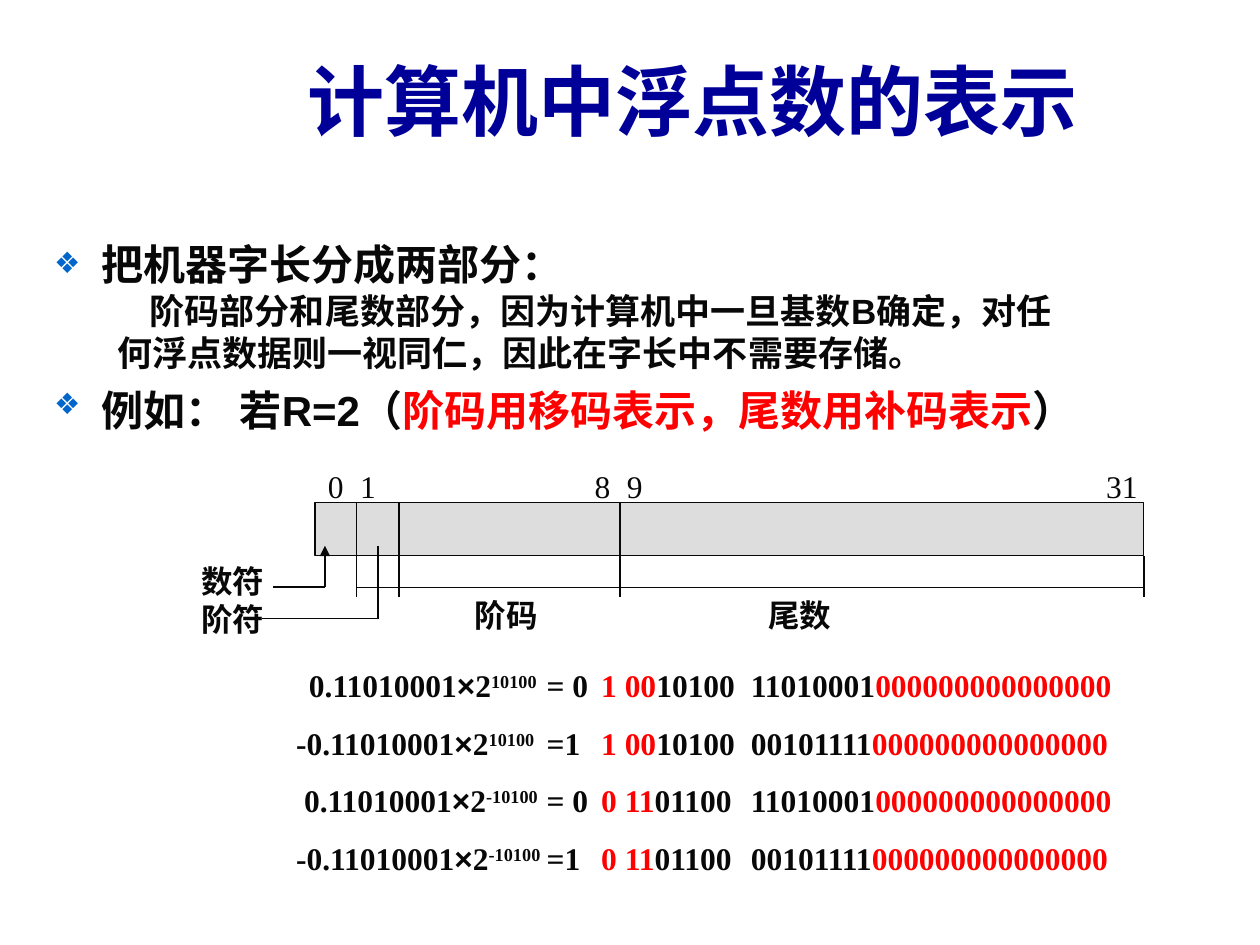
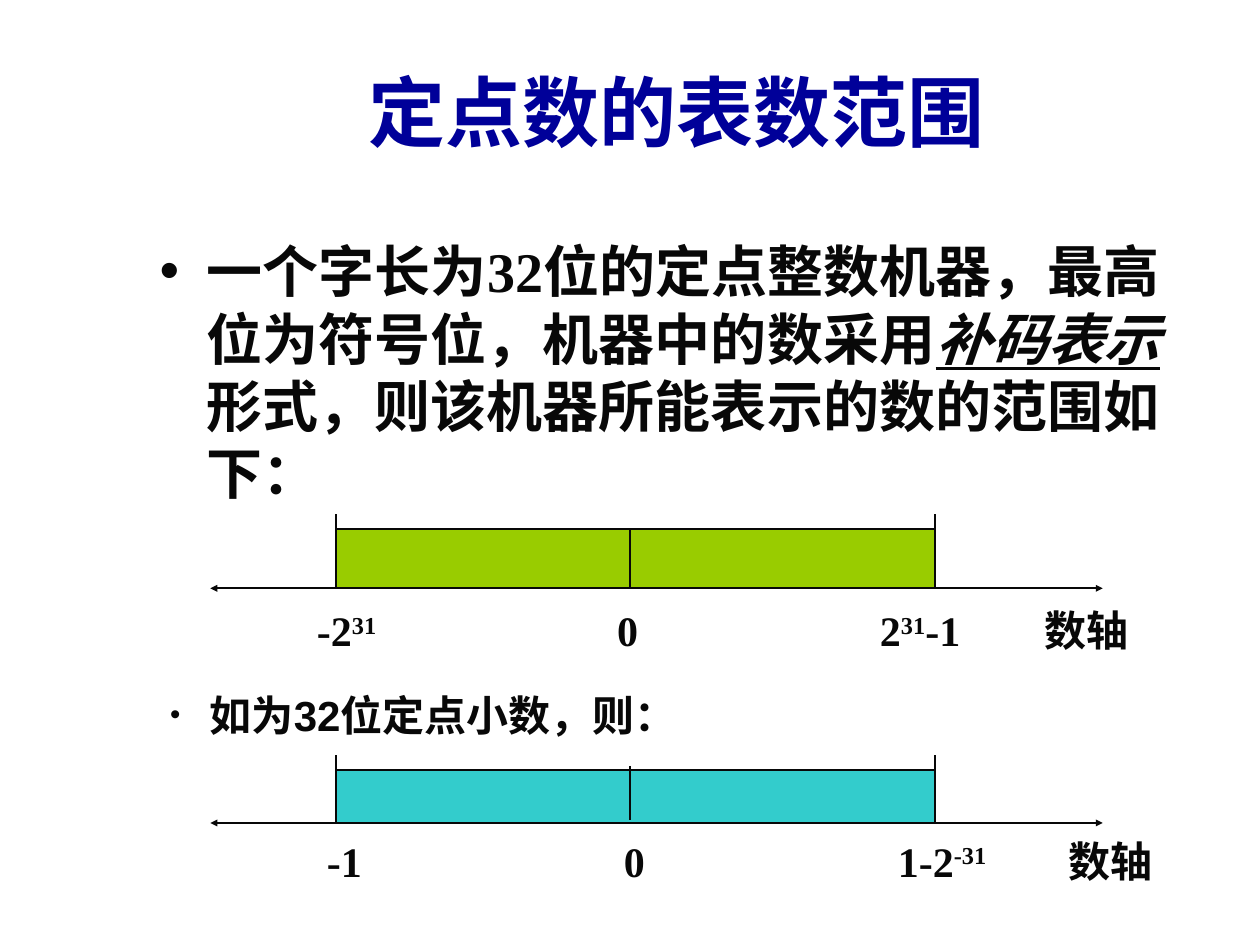
from pptx import Presentation
from pptx.dml.color import RGBColor
from pptx.enum.shapes import MSO_CONNECTOR as Connector, MSO_SHAPE as Shape
from pptx.enum.text import MSO_ANCHOR as Anchor, PP_ALIGN as Align
from pptx.oxml.ns import qn
from pptx.util import Cm, Pt
from lxml.etree import SubElement

COLORS = {
    "ink": "080808", "title": "000099", "red": "FF0000", "bullet": "0066CC",
    "register": "DDDDDD", "integer": "99CC00", "fraction": "33CCCC",
}
SERIF, SANS = "Times New Roman", "Arial"


def add_run(paragraph, text, size=18, font=SERIF, color="ink", bold=True,
            italic=False, underline=False, raised=False):
    run = paragraph.add_run()
    run.text = text
    run.font.size, run.font.name = Pt(size), font
    run.font.bold, run.font.italic, run.font.underline = bold, italic, underline
    run.font.color.rgb = RGBColor.from_string(COLORS[color])
    if raised:
        run.font._element.set("baseline", "30000")


class Deck:
    def __init__(self):
        self.presentation = Presentation()
        self.presentation.slide_width = Cm(25.4)
        self.presentation.slide_height = Cm(19.05)
        self.slide = None

    def new_slide(self, title, left, top, width):
        layout = self.presentation.slide_layouts[6]
        self.slide = self.presentation.slides.add_slide(layout)
        frame = self.frame(left, top, width, 3.18)
        frame.vertical_anchor = Anchor.MIDDLE
        self.paragraph(frame, [title], align=Align.CENTER,
                       size=44, font=SANS, color="title")

    def frame(self, left, top, width, height):
        box = self.slide.shapes.add_textbox(Cm(left), Cm(top), Cm(width), Cm(height))
        box.text_frame.word_wrap = True
        return box.text_frame

    def paragraph(self, frame, runs, align=Align.LEFT, before=0, spacing=1.0,
                  margin=0, bullet=None, bullet_color="ink", bullet_size=100,
                  **style):
        paragraph = frame.paragraphs[0]
        if paragraph.runs:
            paragraph = frame.add_paragraph()
            paragraph.space_before = Pt(before)
        paragraph.alignment, paragraph.line_spacing = align, spacing
        properties = paragraph._p.get_or_add_pPr()
        properties.set("marL", str(Cm(margin)))
        properties.set("indent", str(Cm(-margin if bullet else 0)))
        if bullet:
            color = SubElement(properties, qn("a:buClr"))
            SubElement(color, qn("a:srgbClr"), val=COLORS[bullet_color])
            SubElement(properties, qn("a:buSzPct"), val=str(bullet_size * 1000))
            SubElement(properties, qn("a:buFont"), typeface=SANS)
            SubElement(properties, qn("a:buChar"), char=bullet)
        for run in runs:
            text, changes = (run, {}) if isinstance(run, str) else run
            add_run(paragraph, text, **{**style, **changes})

    def label(self, left, top, width, height, *runs, **style):
        self.paragraph(self.frame(left, top, width, height), runs, **style)

    def label_row(self, top, width, height, cells, **style):
        for left, *runs in cells:
            self.label(left, top, width, height, *runs, **style)

    def bar(self, left, top, width, height, color, weight):
        shape = self.slide.shapes.add_shape(
            Shape.RECTANGLE, Cm(left), Cm(top), Cm(width), Cm(height))
        shape.shadow.inherit = False
        shape.fill.solid()
        shape.fill.fore_color.rgb = RGBColor.from_string(COLORS[color])
        shape.line.color.rgb = RGBColor.from_string(COLORS["ink"])
        shape.line.width = Pt(weight)

    def line(self, x1, y1, x2, y2, weight=1.0, arrows=(), arrow_size="med"):
        connector = self.slide.shapes.add_connector(
            Connector.STRAIGHT, Cm(x1), Cm(y1), Cm(x2), Cm(y2))
        connector.line.color.rgb = RGBColor.from_string(COLORS["ink"])
        connector.line.width = Pt(weight)
        outline = connector.line._get_or_add_ln()
        for end in arrows:
            SubElement(outline, qn(f"a:{end}"), type="triangle",
                       w=arrow_size, len=arrow_size)
        SubElement(connector._element.spPr, qn("a:effectLst"))

    def number_axis(self, bar_top, axis, color, zero_top, zero_bottom):
        left, zero, right = 6.78, 12.7, 18.85
        self.line(4.24, axis, 22.23, axis, arrows=("headEnd", "tailEnd"),
                  arrow_size="sm")
        self.bar(left, bar_top, right - left, axis - bar_top, color, 1)
        self.line(zero, zero_top, zero, zero_bottom)
        for limit in (left, right):
            self.line(limit, bar_top - 0.3, limit, bar_top)


def floating_point(deck):
    deck.new_slide("计算机中浮点数的表示", 3.38, 0.43, 21.18)
    body = deck.frame(0.84, 4.88, 23.72, 4.19)
    heading = dict(margin=0.95, bullet="❖", bullet_color="bullet", bullet_size=70,
                   before=6, spacing=0.8, size=24, font=SANS)
    detail = dict(before=5, spacing=0.8, size=20, font=SANS)
    deck.paragraph(body, ["把机器字长分成两部分："], **heading)
    deck.paragraph(body, ["阶码部分和尾数部分，因为计算机中一旦基数B确定，对任"],
                   margin=1.93, **detail)
    deck.paragraph(body, ["何浮点数据则一视同仁，因此在字长中不需要存储。"],
                   margin=1.27, **detail)
    deck.paragraph(body, ["例如：", (" ", {"size": 32}), "若R=2（",
                          ("阶码用移码表示，尾数用补码表示", {"color": "red"}), "）"],
                   **heading)

    left, exponent, mantissa, right = 6.35, 7.19, 12.5, 23.06
    top, bottom, bracket, tick_end = 10.13, 11.2, 11.84, 12.04
    deck.bar(left, top, right - left, bottom - top, "register", 0.75)
    for x, start in ((exponent, top), (mantissa, top), (right, bottom)):
        deck.line(x, start, x, tick_end, 0.75)
    deck.line(8.05, top, 8.05, tick_end)
    deck.line(exponent, bracket, right, bracket, 0.75)
    deck.label_row(9.3, 1.5, 1.02, (
        (6.36, "0"), (7.01, "1"), (11.74, "8"), (12.39, "9"), (22.05, "31"),
    ), bold=False)
    deck.line(5.51, bracket, 6.55, bracket)
    deck.line(6.55, bracket, 6.55, 11, 0.75, arrows=("tailEnd",))
    deck.line(5.28, 12.47, 7.62, 12.47)
    deck.line(7.62, 12.47, 7.62, 11)
    deck.label(3.81, 11.2, 1.91, 1.78, "数符 阶符")
    deck.label(9.32, 11.89, 2.54, 1.02, "阶码")
    deck.label(15.24, 11.89, 5.08, 1.02, "尾数")

    for row, (start, number, power, sign, head, rest, digits) in enumerate((
        (5.98, "0.11010001", "10100", "= 0", "1 00", "10100", "11010001"),
        (5.72, "-0.11010001", "10100", "=1", "1 00", "10100", "00101111"),
        (5.88, "0.11010001", "-10100", "= 0", "0 11", "01100", "11010001"),
        (5.72, "-0.11010001", "-10100", "=1", "0 11", "01100", "00101111"),
    )):
        deck.label_row(13.31 + 1.16 * row, 8.2, 1.02, (
            (start, number, ("×", {"font": SANS}), "2", (power, {"raised": True})),
            (10.77, sign),
            (11.87, (head, {"color": "red"}), rest),
            (14.89, digits, ("0" * 15, {"color": "red"})),
        ))


def fixed_point(deck):
    deck.new_slide("定点数的表数范围", 2.74, 0.64, 21.82)
    deck.label(2.97, 4.65, 21.16, 5.6,
               "一个字长为32位的定点整数机器，最高位为符号位，机器中的数采用",
               ("补码表示", {"italic": True, "underline": True}),
               "形式，则该机器所能表示的数的范围如下：",
               size=32, margin=0.95, bullet="•")
    power = {"raised": True}
    deck.number_axis(10.67, 11.86, "integer", 10.67, 11.86)
    deck.label_row(12.07, 3, 1.27, (
        (6.14, "-2", ("31", power)), (12.19, "0"),
        (17.49, "2", ("31", power), "-1"), (20.8, "数轴"),
    ), size=24)
    deck.label(3.18, 13.77, 11.43, 1.27, "如为32位定点小数，则：",
               size=24, font=SANS, margin=0.8, bullet="•", bullet_size=70)
    deck.number_axis(15.52, 16.59, "fraction", 15.44, 16.54)
    deck.label_row(16.71, 3, 1.27, (
        (6.34, "-1"), (12.33, "0"),
        (17.85, "1-2", ("-31", power)), (21.3, "数轴"),
    ), size=24)


def main():
    deck = Deck()
    floating_point(deck)
    fixed_point(deck)
    deck.presentation.save("out.pptx")


if __name__ == "__main__":
    main()
